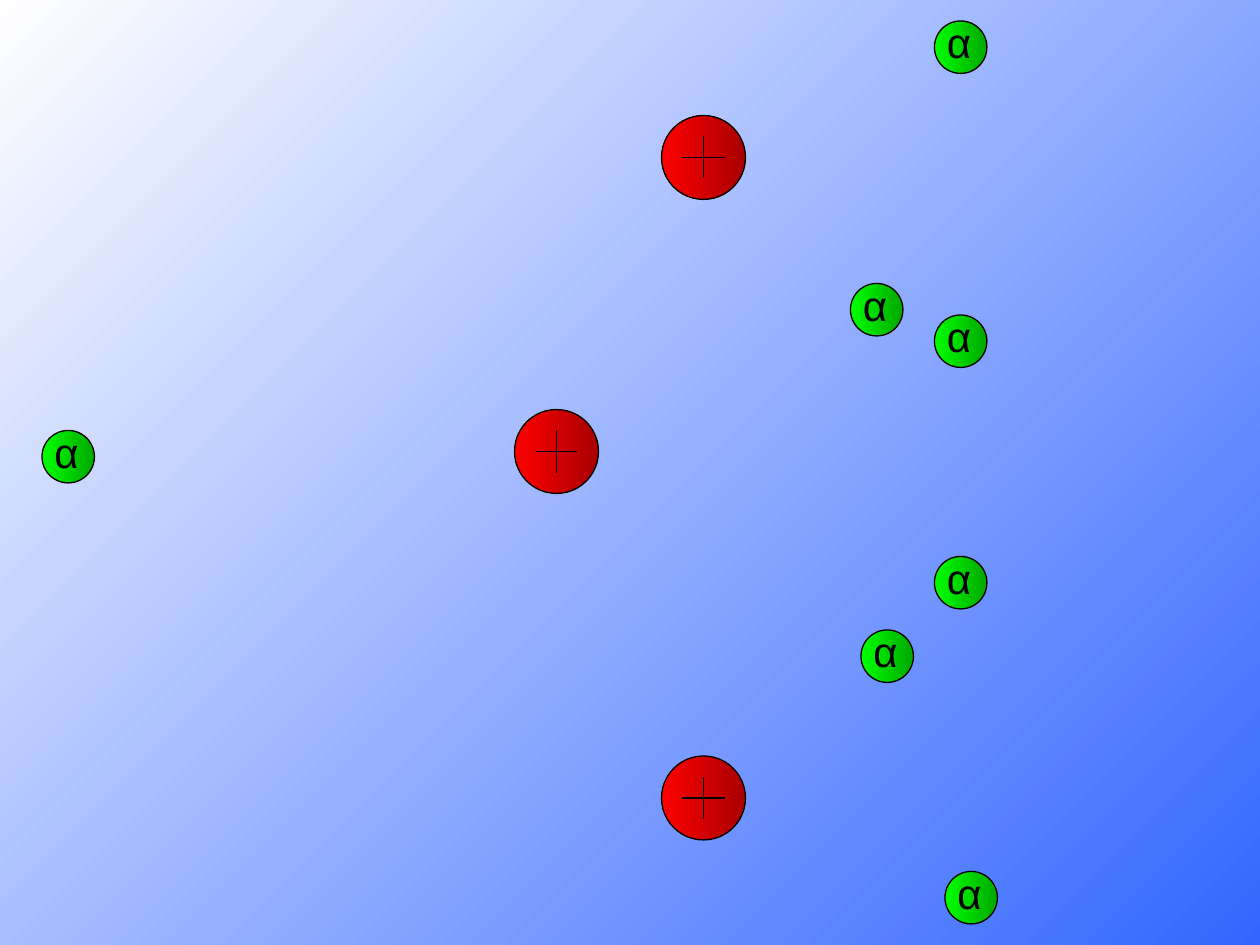
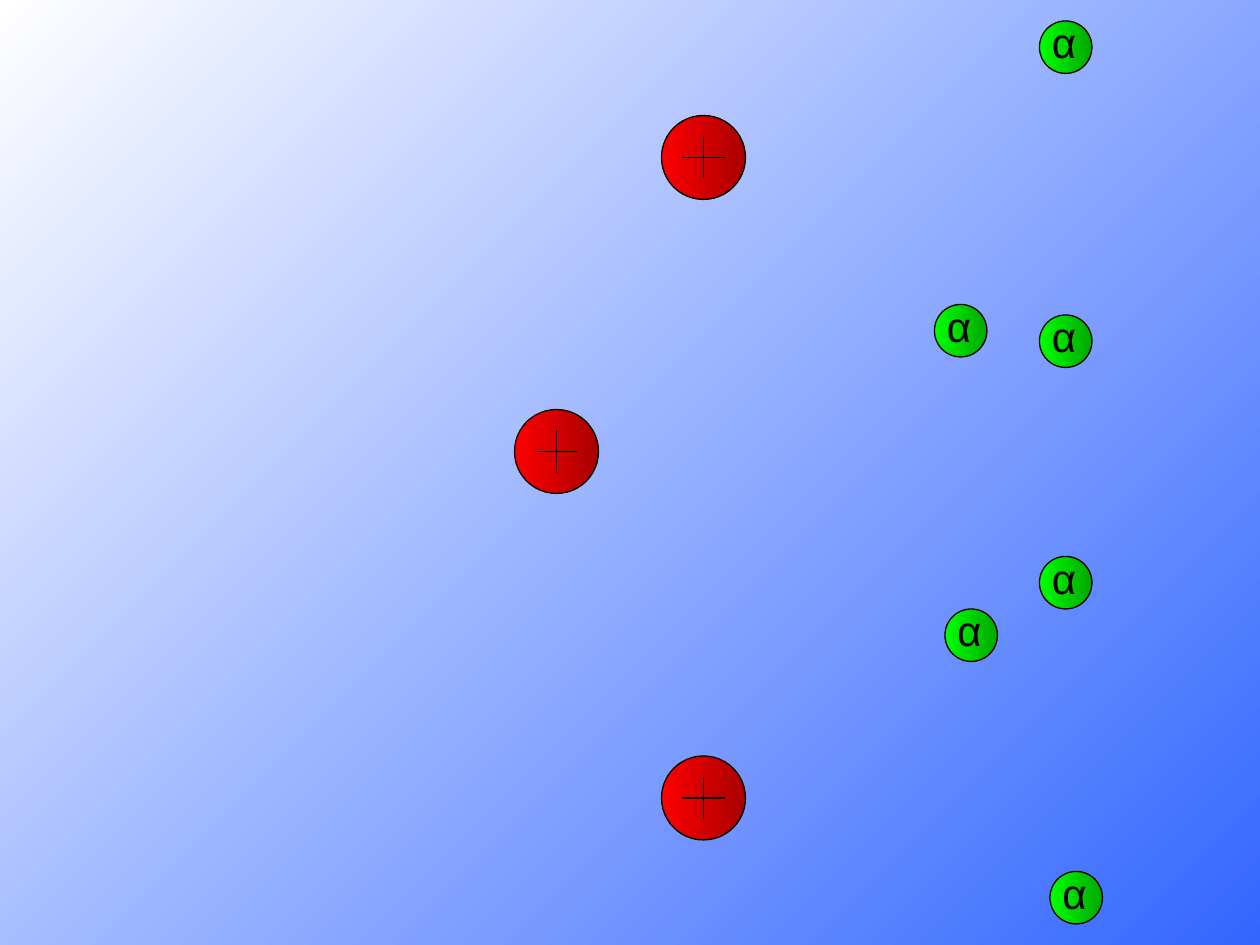
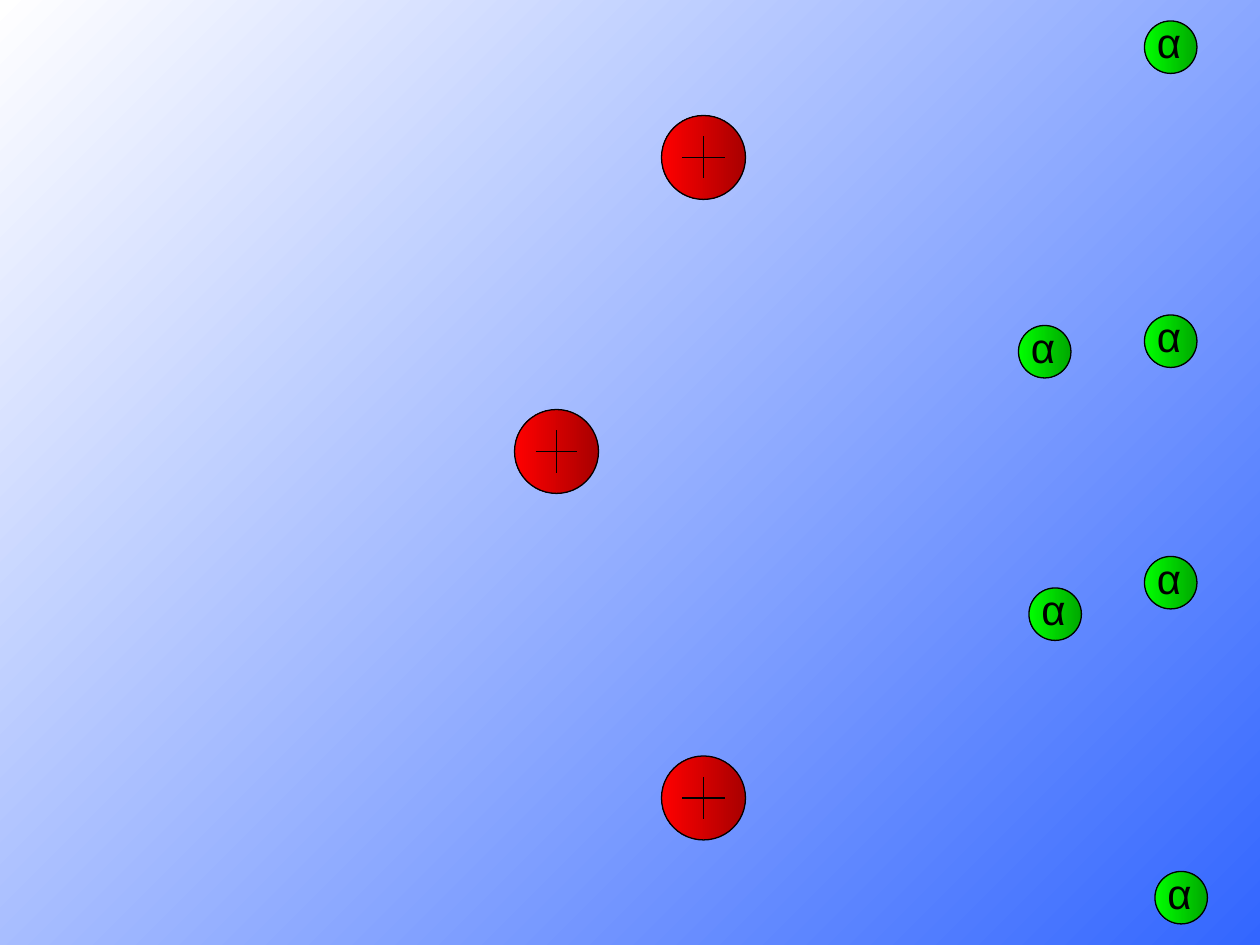
from dataclasses import dataclass

from pptx import Presentation
from pptx import util as u
from pptx.dml.color import RGBColor
from pptx.dml.fill import FillFormat
from pptx.enum import shapes, text
from pptx.oxml.ns import qn

GRID = 12  # grid units to the inch
STEPS = 3
BLANK_LAYOUT = 6
NUCLEUS_SIZE, CROSS_INSET = 8, 2
ALPHA_SIZE, LABEL_HEIGHT = 5, 6
BLACK = "000000"
SKY = ("3366FF", "FFFFFF", 135)
RED = ("A80000", "FF0000", 180)
GREEN = ("00A800", "00FF00", 180)


@dataclass(frozen=True)
class Nucleus:
    left: int
    top: int


@dataclass(frozen=True)
class Alpha:
    """An alpha particle: its start, its move per step and its last step, in grid units."""
    left: int
    top: int
    move_x: int
    move_y: int = 0
    last_step: int = STEPS - 1


NUCLEI = [Nucleus(63, 11), Nucleus(49, 39), Nucleus(63, 72)]
ALPHAS = [
    Alpha(82, 60, 8, -2),
    Alpha(4, 41, 0, last_step=0),
    Alpha(81, 27, 8, 2),
    Alpha(90, 83, 10),
    Alpha(89, 2, 10),
    Alpha(89, 53, 10),
    Alpha(89, 30, 10),
]


def grid(*units: float) -> list[u.Length]:
    return [u.Inches(unit / GRID) for unit in units]


def colour(value: str) -> RGBColor:
    return RGBColor.from_string(value)


def shade(fill: FillFormat, start: str, end: str, angle: int) -> None:
    fill.gradient()
    fill.gradient_angle = angle
    for stop, value in zip(fill.gradient_stops, (start, end)):
        stop.color.rgb = colour(value)


def outline(item) -> None:
    item.line.color.rgb = colour(BLACK)
    item.line.width = u.Pt(0.75)


def add_ball(parent, left: int, top: int, size: int, gradient: tuple) -> None:
    ball = parent.add_shape(shapes.MSO_SHAPE.OVAL, *grid(left, top, size, size))
    ball.shadow.inherit = False
    shade(ball.fill, *gradient)
    outline(ball)


def add_line(parent, *ends: float) -> None:
    line = parent.add_connector(shapes.MSO_CONNECTOR.STRAIGHT, *grid(*ends))
    outline(line)
    properties = line._element.spPr
    properties.append(properties.makeelement(qn("a:effectLst"), {}))


def add_nucleus(page, nucleus: Nucleus) -> None:
    """Draw a red ball with a plus sign, as one group."""
    parts = page.shapes.add_group_shape().shapes
    left, top = nucleus.left, nucleus.top
    near, middle, far = CROSS_INSET, NUCLEUS_SIZE / 2, NUCLEUS_SIZE - CROSS_INSET
    add_ball(parts, left, top, NUCLEUS_SIZE, RED)
    add_line(parts, left + middle, top + near, left + middle, top + far)
    add_line(parts, left + near, top + middle, left + far, top + middle)


def add_alpha(page, alpha: Alpha, step: int) -> None:
    left = alpha.left + step * alpha.move_x
    top = alpha.top + step * alpha.move_y
    add_ball(page.shapes, left, top, ALPHA_SIZE, GREEN)
    box = page.shapes.add_textbox(*grid(left, top - 1, ALPHA_SIZE, LABEL_HEIGHT))
    box.text_frame.word_wrap = False
    box.text_frame.auto_size = text.MSO_AUTO_SIZE.SHAPE_TO_FIT_TEXT
    span = box.text_frame.paragraphs[0].add_run()
    span.text = "α"
    for name, value in {"name": "Arial", "size": u.Pt(24)}.items():
        setattr(span.font, name, value)
    span.font.color.rgb = colour(BLACK)


def main() -> None:
    deck = Presentation()
    deck.slide_width, deck.slide_height = u.Inches(10), u.Inches(7.5)
    shade(deck.slide_master.background.fill, *SKY)
    for step in range(STEPS):
        page = deck.slides.add_slide(deck.slide_layouts[BLANK_LAYOUT])
        for nucleus in NUCLEI:
            add_nucleus(page, nucleus)
        for alpha in ALPHAS:
            if step <= alpha.last_step:
                add_alpha(page, alpha, step)
    deck.save("out.pptx")


if __name__ == "__main__":
    main()
